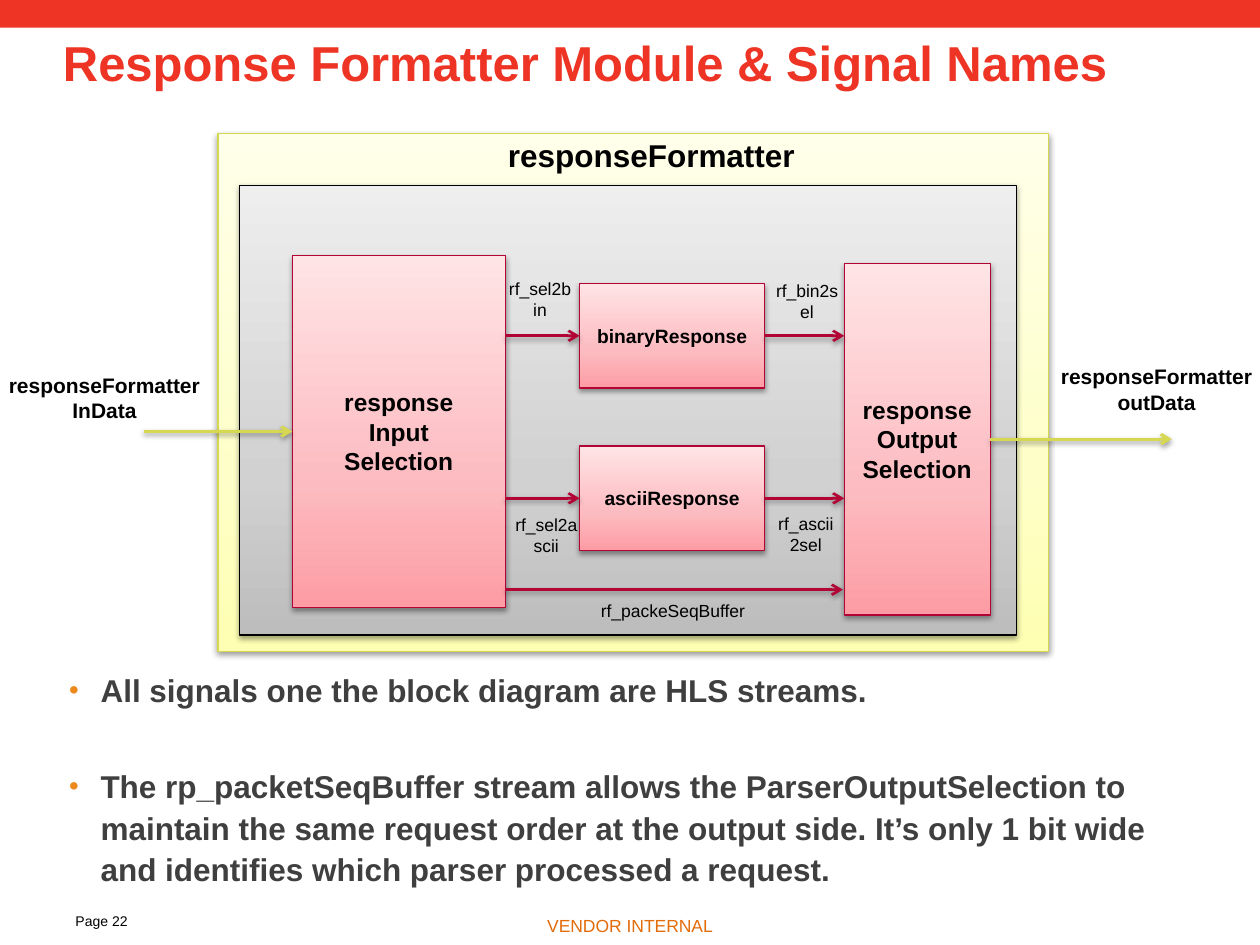
"""Build the response formatter block diagram slide."""
from lxml import etree
from pptx import Presentation
from pptx.dml.color import RGBColor
from pptx.enum.shapes import MSO_CONNECTOR, MSO_SHAPE
from pptx.enum.text import MSO_ANCHOR, PP_ALIGN
from pptx.oxml import parse_xml
from pptx.oxml.ns import nsdecls, qn
from pptx.util import Inches, Pt

RECTANGLE, STRAIGHT = MSO_SHAPE.RECTANGLE, MSO_CONNECTOR.STRAIGHT
LEFT, CENTER = PP_ALIGN.LEFT, PP_ALIGN.CENTER
TOP, MIDDLE = MSO_ANCHOR.TOP, MSO_ANCHOR.MIDDLE
LEFT_SIDE, RIGHT_SIDE = 1, 3
COLUMNS, ROWS = 100, 75
SLIDE_WIDTH, SLIDE_HEIGHT = Inches(10), Inches(7.5)
FONT = "Arial"
COLORS = {
    "red": "EE3424", "crimson": "B20435", "lime": "D7D851", "black": "000000",
    "body": "3F3F3F", "bullet": "EC891D", "footer": "E36C0A",
}
GRADIENTS = {
    "yellow": ("FEFFB2", "FEFFC8", "FFFFEA"),
    "gray": ("BDBDBD", "D1D1D1", "EEEEEE"),
    "pink": ("FD9CA4", "FCBBC0", "FFE4E6"),
}
STOPS = (0, 35000, 100000)
SIGNAL_LABELS = [
    ("rf_sel2bin", 39.4, 21.6, 6.9), ("rf_sel2ascii", 39.9, 40.3, 6.9),
    ("rf_bin2sel", 60.6, 21.7, 6.9), ("rf_ascii2sel", 60.5, 40.2, 6.9),
    ("rf_packeSeqBuffer", 41.3, 47.1, 24.2),
]
PORT_LABELS = [("responseFormatterInData", -0.4, 29.1), ("responseFormatteroutData", 83.1, 28.4)]
NOTES = [
    "All signals one the block diagram are HLS streams.",
    "The rp_packetSeqBuffer stream allows the ParserOutputSelection to maintain the same "
    "request order at the output side. It’s only 1 bit wide and identifies which parser "
    "processed a request.",
]


def col(count):
    """Return the length of a number of grid columns."""
    return int(SLIDE_WIDTH * count / COLUMNS)


def row(count):
    """Return the length of a number of grid rows."""
    return int(SLIDE_HEIGHT * count / ROWS)


def rgb(name):
    """Return a named colour."""
    return RGBColor.from_string(COLORS[name])


def write(frame, text, size, color="black", bold=False, align=CENTER, anchor=TOP):
    """Fill a text frame with uniformly formatted text."""
    frame.word_wrap = True
    frame.vertical_anchor = anchor
    frame.text = text
    for paragraph in frame.paragraphs:
        paragraph.alignment = align
        for run in paragraph.runs:
            run.font.name, run.font.size, run.font.bold = FONT, Pt(size), bold
            run.font.color.rgb = rgb(color)


def add_label(slide, text, place, size, **style):
    """Add a text box on the grid and return its frame."""
    x, y, width, height = place
    frame = slide.shapes.add_textbox(col(x), row(y), col(width), row(height)).text_frame
    write(frame, text, size, **style)
    return frame


def add_shadow(element):
    """Give a shape or connector a soft shadow below it."""
    element._element.spPr.append(parse_xml(
        f'<a:effectLst {nsdecls("a")}><a:outerShdw blurRad="{Pt(3.1)}" dist="{Pt(1.6)}" '
        'dir="5400000" rotWithShape="0"><a:srgbClr val="000000"><a:alpha val="38000"/>'
        '</a:srgbClr></a:outerShdw></a:effectLst>'))


def add_block(slide, place, gradient, border, text="", size=14):
    """Add a gradient block with an optional centred caption."""
    x, y, width, height = place
    block = slide.shapes.add_shape(RECTANGLE, col(x), row(y), col(width), row(height))
    stops = "".join(f'<a:gs pos="{stop}"><a:srgbClr val="{color}"/></a:gs>'
                    for stop, color in zip(STOPS, GRADIENTS[gradient]))
    block._element.spPr.find(qn("a:prstGeom")).addnext(parse_xml(
        f'<a:gradFill {nsdecls("a")} rotWithShape="1"><a:gsLst>{stops}</a:gsLst>'
        '<a:lin ang="16200000" scaled="0"/></a:gradFill>'))
    block.line.color.rgb = rgb(border)
    block.line.width = Pt(0.75)
    add_shadow(block)
    if text:
        write(block.text_frame, text, size, bold=True, anchor=MIDDLE)
    return block


def add_signal(slide, start, end, y, color="crimson", weight=1.5, source=None, target=None):
    """Add a horizontal arrow, joined to blocks where given."""
    signal = slide.shapes.add_connector(STRAIGHT, col(start), row(y), col(end), row(y))
    if source:
        signal.begin_connect(source, RIGHT_SIDE)
        signal.end_y = signal.begin_y
    if target:
        signal.end_connect(target, LEFT_SIDE)
        signal.begin_y = signal.end_y
    signal.line.color.rgb = rgb(color)
    signal.line.width = Pt(weight)
    etree.SubElement(signal.line._get_or_add_ln(), qn("a:tailEnd"), type="arrow")
    add_shadow(signal)


def add_notes_list(slide):
    """Add the bulleted remarks under the diagram."""
    frame = add_label(slide, "\n".join(NOTES), (4.5, 52.5, 90, 18.8), 18,
                      color="body", bold=True, align=LEFT)
    for index, paragraph in enumerate(frame.paragraphs):
        paragraph.line_spacing = 1.1
        paragraph.space_before = Pt(31 if index else 0)
        properties = paragraph._p.get_or_add_pPr()
        properties.set("marL", str(col(2.5)))
        properties.set("indent", str(-col(2.5)))
        bullet_color = etree.SubElement(properties, qn("a:buClr"))
        etree.SubElement(bullet_color, qn("a:srgbClr"), val=COLORS["bullet"])
        etree.SubElement(properties, qn("a:buSzPct"), val="88000")
        etree.SubElement(properties, qn("a:buFont"), typeface=FONT)
        etree.SubElement(properties, qn("a:buChar"), char="•")


def add_header(slide):
    """Add the top band and the title."""
    band = slide.shapes.add_shape(RECTANGLE, 0, 0, col(COLUMNS), row(2.2))
    band.shadow.inherit = False
    band.fill.solid()
    band.fill.fore_color.rgb = rgb("red")
    band.line.fill.background()
    title = add_label(slide, "Response Formatter Module & Signal Names", (5, 2.3, 90, 6.1), 28,
                      color="red", bold=True, align=LEFT)
    title.margin_left = 0
    title.paragraphs[0].line_spacing = 0.98


def add_diagram(slide):
    """Add the nested blocks, their signals and the signal names."""
    add_block(slide, (17.3, 10.6, 65.9, 41.1), "yellow", "lime")
    add_label(slide, "responseFormatter", (37.9, 10.3, 27.6, 4), 18, bold=True)
    add_block(slide, (19, 14.7, 61.7, 35.7), "gray", "black")
    binary, ascii_block = [
        add_block(slide, (46, y, 14.7, 8.3), "pink", "crimson", name, 11)
        for name, y in (("binaryResponse", 22.5), ("asciiResponse", 35.4))]
    selector = add_block(slide, (23.2, 20.3, 16.9, 27.9), "pink", "crimson",
                         "response\nInput\nSelection")
    output = add_block(slide, (67, 20.9, 11.6, 27.9), "pink", "crimson",
                       "response\nOutput\nSelection")
    for block, y in ((binary, 26.6), (ascii_block, 39.6)):
        add_signal(slide, 40.1, 46, y, target=block)
        add_signal(slide, 60.7, 67, y, source=block)
    add_signal(slide, 40.1, 66.9, 46.8)
    add_signal(slide, 78.6, 93, 34.9, "lime", 1.75, source=output)
    add_signal(slide, 11.4, 23.2, 34.2, "lime", 1.75, target=selector)
    for name, x, y, width in SIGNAL_LABELS:
        add_label(slide, name, (x, y, width, 4.4), 10)
    for name, x, y in PORT_LABELS:
        add_label(slide, name, (x, y, 17.4, 5), 12, bold=True)


def main():
    """Build and save the slide."""
    deck = Presentation()
    deck.slide_width, deck.slide_height = SLIDE_WIDTH, SLIDE_HEIGHT
    slide = deck.slides.add_slide(deck.slide_layouts[6])
    add_header(slide)
    add_diagram(slide)
    add_notes_list(slide)
    add_label(slide, "Page 22", (5, 71.9, 9.2, 2.7), 8, align=LEFT)
    add_label(slide, "VENDOR INTERNAL", (0, 72.1, 100, 2.9), 10, color="footer")
    deck.save("out.pptx")


if __name__ == "__main__":
    main()
